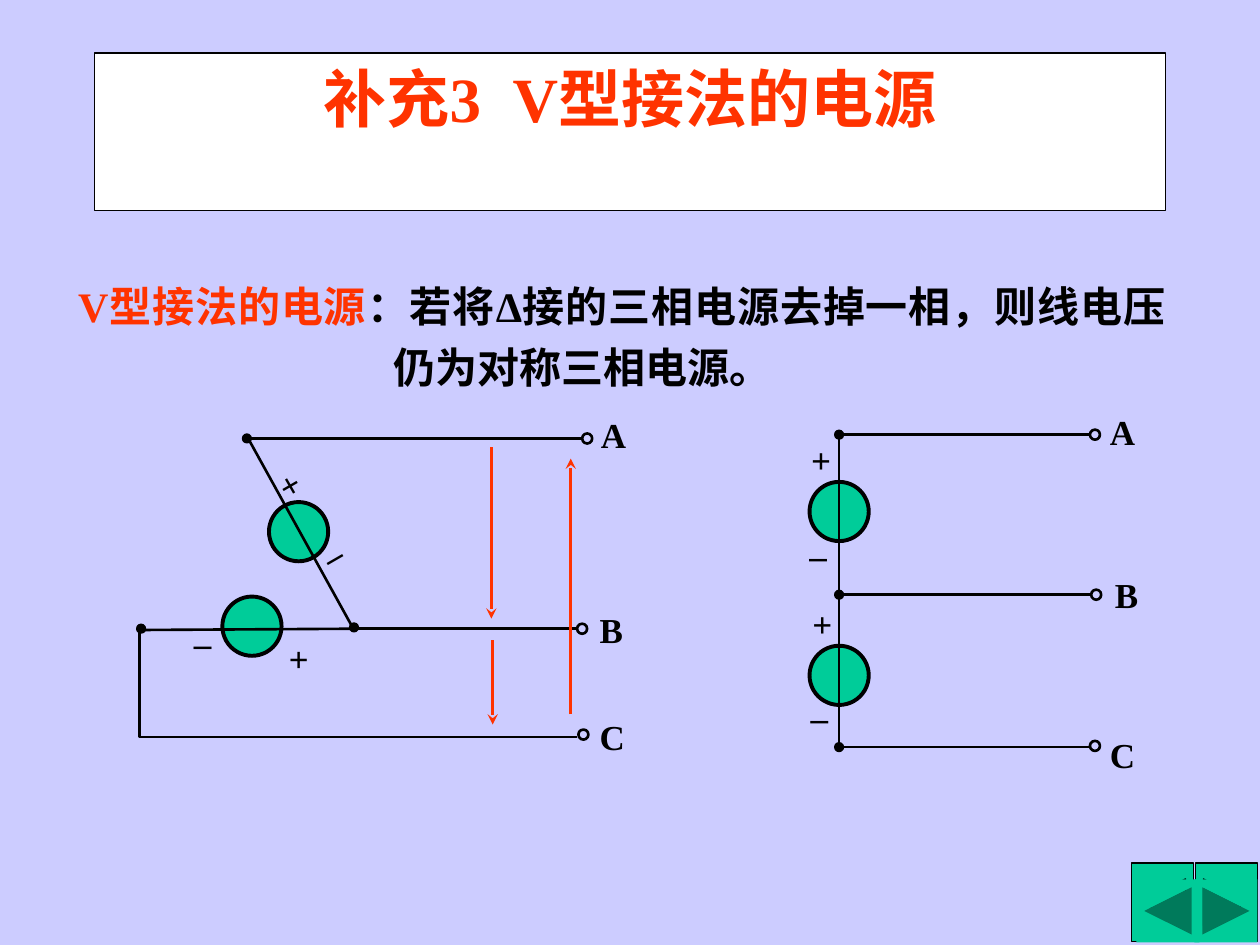
import pptx
import pptx.util
import pptx.dml.color
import pptx.enum.shapes
import pptx.enum.text
import pptx.oxml.ns
import lxml.etree

Inches = pptx.util.Inches
Kind = pptx.enum.shapes.MSO_SHAPE
Align = pptx.enum.text.PP_ALIGN

THEME = {
    "font": "Times New Roman", "back": "CCCCFF", "paper": "FFFFFF",
    "ink": "000000", "accent": "FF3300", "green": "00CC99",
    "title": 36, "body": 24, "label": 20,
    "thin": 0.75, "wire": 1.5, "ring": 2.25,
}
SOURCE, DOT, PORT = 0.47, 0.06, 0.08
SIGN, NAME, HIGH = 0.3, 0.52, 0.43

TITLE = [("补充3  V型接法的电源", "accent")]
BODY = [
    ("V型接法的电源", "accent"),
    ("：若将Δ接的三相电源去掉一相，则线电压仍为对称三相电源。", "ink"),
]

LEFT = {
    "sources": [(2.37, 4.22), (2.0, 4.97)],
    "wires": [
        (1.97, 3.48, 2.81, 5.0), (2.83, 4.99, 1.11, 5.0),
        (1.97, 3.48, 4.63, 3.48), (2.81, 4.99, 4.59, 4.99),
    ],
    "arrows": [
        (3.9, 3.55, 3.9, 4.91), (3.91, 5.08, 3.91, 5.75),
        (4.53, 5.67, 4.53, 3.64),
    ],
    "loop": [(1.11, 4.99), (1.11, 5.85), (4.58, 5.85)],
    "dots": [(2.81, 4.98), (1.12, 4.99), (1.96, 3.48)],
    "ports": [(4.66, 3.48), (4.62, 4.99), (4.63, 5.83)],
    "names": [("A", 4.67, 3.23), ("B", 4.66, 4.78), ("C", 4.66, 5.63)],
    "signs": [
        ("+", 2.12, 3.64, 330), ("–", 2.47, 4.2, 330),
        ("+", 2.24, 5.0, 90), ("–", 1.44, 4.88, 0),
    ],
}
RIGHT = {
    "sources": [(6.66, 4.06), (6.66, 5.36)],
    "wires": [
        (6.69, 3.45, 8.65, 3.45), (6.64, 4.72, 8.66, 4.72),
        (6.69, 5.93, 8.66, 5.93), (6.66, 3.48, 6.66, 4.69),
        (6.66, 4.72, 6.66, 5.93),
    ],
    "arrows": [],
    "loop": [],
    "dots": [(6.66, 3.45), (6.66, 4.72), (6.66, 5.93)],
    "ports": [(8.69, 3.45), (8.7, 4.72), (8.69, 5.92)],
    "names": [("A", 8.71, 3.21), ("B", 8.75, 4.5), ("C", 8.71, 5.77)],
    "signs": [
        ("+", 6.34, 3.43, 0), ("–", 6.36, 4.28, 180),
        ("+", 6.35, 4.73, 0), ("–", 6.37, 5.57, 180),
    ],
}
BACK = Kind.ACTION_BUTTON_BACK_OR_PREVIOUS
NEXT = Kind.ACTION_BUTTON_FORWARD_OR_NEXT
FRAMES = [(BACK, 8.98, 6.85, 0.49, 0.62), (NEXT, 9.49, 6.85, 0.49, 0.62)]
BUTTONS = [(BACK, 9.02, 6.98, 0.5, 0.5), (NEXT, 9.48, 6.98, 0.5, 0.5)]


def tint(name):
    return pptx.dml.color.RGBColor.from_string(THEME[name])


def paint(shape, fill=None, line=None, width="wire"):
    if fill:
        shape.fill.solid()
        shape.fill.fore_color.rgb = tint(fill)
    else:
        shape.fill.background()
    if line:
        shape.line.color.rgb = tint(line)
        shape.line.width = pptx.util.Pt(THEME[width])
    else:
        shape.line.fill.background()


def place(shape, *box):
    shape.left, shape.top, shape.width, shape.height = map(Inches, box)


def write(shape, runs, size, align):
    frame = shape.text_frame
    frame.word_wrap = True
    frame.auto_size = pptx.enum.text.MSO_AUTO_SIZE.NONE
    frame.vertical_anchor = pptx.enum.text.MSO_ANCHOR.TOP
    para = frame.paragraphs[0]
    para.alignment = align
    para.space_before = pptx.util.Pt(0)
    for text, color in runs:
        run = para.add_run()
        run.text = text
        font = run.font
        font.name, font.size, font.bold = THEME["font"], pptx.util.Pt(THEME[size]), True
        font.color.rgb = tint(color)
    return para


def add_shape(slide, kind, box, *style):
    shape = slide.shapes.add_shape(kind, *map(Inches, box))
    shape.shadow.inherit = False
    paint(shape, *style)


def add_disc(slide, spot, size, *style):
    x, y = spot
    add_shape(slide, Kind.OVAL, (x - size / 2, y - size / 2, size, size), *style)


def add_line(slide, ends, color, head=False):
    line = slide.shapes.add_connector(
        pptx.enum.shapes.MSO_CONNECTOR.STRAIGHT, *map(Inches, ends))
    line.line.color.rgb = tint(color)
    line.line.width = pptx.util.Pt(THEME["wire"])
    if head:
        lxml.etree.SubElement(line.line._get_or_add_ln(),
                              pptx.oxml.ns.qn("a:tailEnd"), type="stealth")
    lxml.etree.SubElement(line._element.spPr, pptx.oxml.ns.qn("a:effectLst"))


def add_label(slide, text, x, y, width, turn=0):
    box = slide.shapes.add_textbox(*map(Inches, (x, y, width, HIGH)))
    box.rotation = turn
    write(box, [(text, "ink")], "label", Align.LEFT)


def add_loop(slide, points):
    start, *rest = [tuple(map(Inches, point)) for point in points]
    pen = slide.shapes.build_freeform(*start)
    pen.add_line_segments(rest, close=False)
    loop = pen.convert_to_shape()
    loop.shadow.inherit = False
    paint(loop, None, "ink")


def draw(slide, plan):
    for spot in plan["sources"]:
        add_disc(slide, spot, SOURCE, "green", "ink", "ring")
    for ends in plan["wires"]:
        add_line(slide, ends, "ink")
    if plan["loop"]:
        add_loop(slide, plan["loop"])
    for spot in plan["dots"]:
        add_disc(slide, spot, DOT, "ink", "ink")
    for spot in plan["ports"]:
        add_disc(slide, spot, PORT, None, "ink")
    for ends in plan["arrows"]:
        add_line(slide, ends, "accent", True)
    for text, x, y in plan["names"]:
        add_label(slide, text, x, y, NAME)
    for text, x, y, turn in plan["signs"]:
        add_label(slide, text, x, y, SIGN, turn)


def main():
    deck = pptx.Presentation()
    deck.slide_width, deck.slide_height = Inches(10), Inches(7.5)
    slide = deck.slides.add_slide(deck.slide_layouts[1])
    slide.background.fill.solid()
    slide.background.fill.fore_color.rgb = tint("back")

    title, body = slide.placeholders
    place(title, 0.75, 0.42, 8.5, 1.25)
    paint(title, "paper", "ink", "thin")
    write(title, TITLE, "title", Align.CENTER)

    place(body, 0.52, 2.1, 8.83, 1.06)
    para = write(body, BODY, "body", Align.JUSTIFY)
    para.line_spacing = 1.2
    props = para._p.get_or_add_pPr()
    props.set("marL", str(Inches(2.5)))
    props.set("indent", str(Inches(-2.5)))
    lxml.etree.SubElement(props, pptx.oxml.ns.qn("a:buNone"))

    for plan in (LEFT, RIGHT):
        draw(slide, plan)
    for kind, *box in FRAMES:
        add_shape(slide, kind, box, "green", "ink", "thin")
    for kind, *box in BUTTONS:
        add_shape(slide, kind, box, "green")
    deck.save("out.pptx")


if __name__ == "__main__":
    main()
